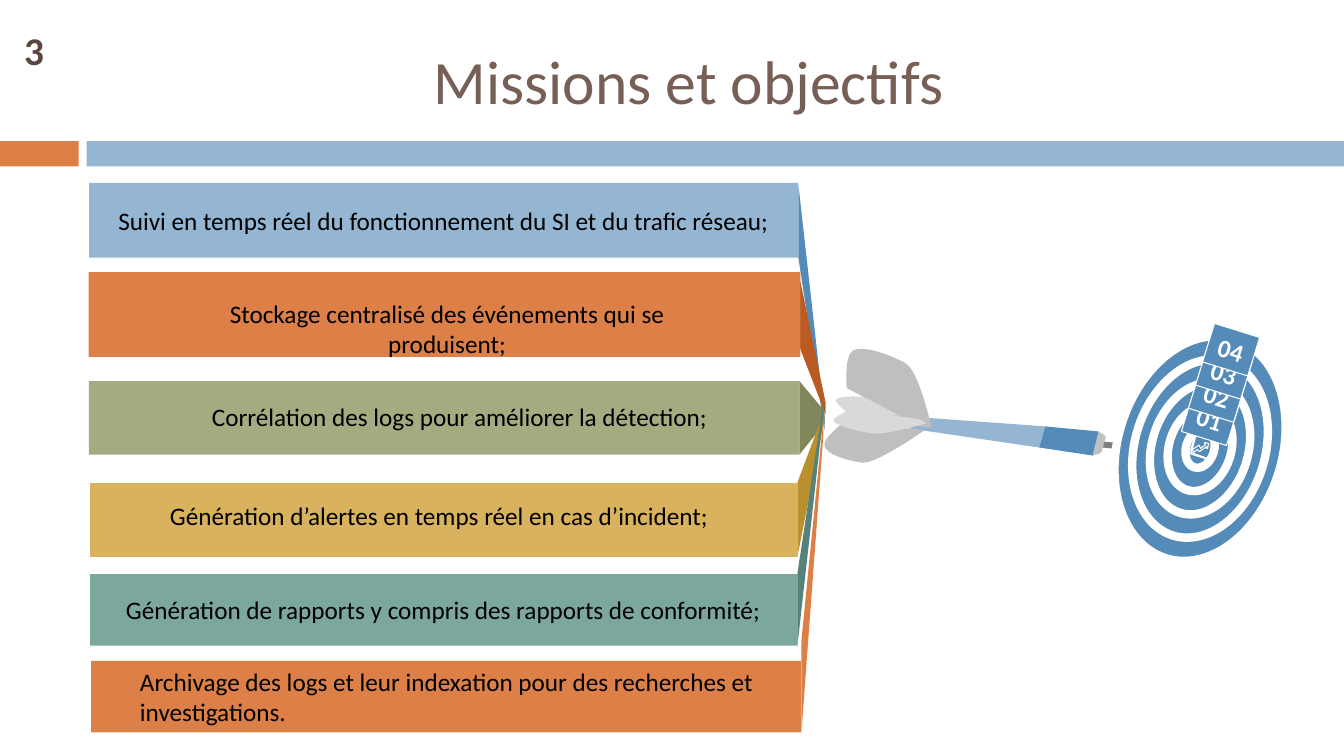
"""Build the "Missions et objectifs" slide: six goals feeding a dart and its target."""
from pptx import Presentation
from pptx.dml.color import RGBColor
from pptx.enum.shapes import MSO_SHAPE
from pptx.enum.text import MSO_ANCHOR, MSO_AUTO_SIZE, PP_ALIGN
from pptx.util import Pt

RECT, OVAL = MSO_SHAPE.RECTANGLE, MSO_SHAPE.OVAL
MIDDLE, TOP = MSO_ANCHOR.MIDDLE, MSO_ANCHOR.TOP
LEFT, CENTER = PP_ALIGN.LEFT, PP_ALIGN.CENTER
NO_FIT = MSO_AUTO_SIZE.NONE

BLACK, WHITE = "000000", "FFFFFF"
SKY, BLUE, ORANGE = "94B6D2", "558BB8", "DD8047"
SILVER, PALE, GREY = "BFBFBF", "D9D9D9", "808080"
TILT = 17.3

# bar box, bar colour, wedge colour, wedge (base x, top, bottom, tip x, top, bottom)
GOALS = [
    ((63.7, 130.7, 506.2, 53.3), SKY, BLUE, (570.2, 131, 183.6, 589, 298.8, 307.4)),
    ((63.4, 194.4, 508.3, 60.5), ORANGE, "B95B22", (570.2, 193.7, 245.5, 589.7, 287.3, 295.9)),
    ((63.4, 272.2, 507.6, 52.6), "A5AB81", "81875A", (571, 272.2, 324.7, 589, 293.8, 302.4)),
    ((64.4, 345.2, 505.4, 52.6), "D8B25C", "BA8F2D", (569.5, 344.9, 398.2, 588.2, 295.2, 303.8)),
    ((65.2, 472, 506.9, 51.1), ORANGE, ORANGE, (572.4, 457.9, 524.2, 588.2, 298.8, 309.6)),
    ((64.4, 410, 505.4, 51.1), "7BA79D", "578279", (569.5, 410.4, 462.2, 588.2, 286.6, 295.2)),
]

# text inside a bar: position in GOALS, wording, alignment, left inset
BAR_TEXTS = [
    (0, "Suivi en temps réel du fonctionnement du SI et du trafic réseau;", CENTER, 7.2),
    (4, "Archivage des logs et leur indexation pour des recherches et investigations.", LEFT, 34.8),
    (5, "Génération de rapports y compris des rapports de conformité;", LEFT, 25.6),
]

FLOATING_TEXTS = [
    ((76.3, 283, 504, 28.8), "Corrélation des logs pour améliorer la détection;"),
    ((115.9, 209.5, 406.8, 28.8), "Stockage centralisé des événements qui se produisent;"),
    ((110.2, 354.2, 406.8, 28.8), "Génération d’alertes en temps réel en cas d’incident;"),
]

# outlines: a pair is a corner, six numbers are a cubic curve
DART = [
    (GREY, [(809.3, 317.5), (818.6, 320.4), (818.6, 321.1), (808.6, 321.8),
            (787.7, 319.7), (788.4, 315.4)]),
    (PALE, [(606.2, 295.9), (656.6, 302.4), (661.7, 301),
            (661.7, 301, 637.9, 285.8, 628.6, 284.4),
            (617, 283, 597.6, 282.2, 596.9, 285.8),
            (596.9, 288, 606.2, 295.9, 606.2, 295.9)]),
    (SKY, [(746.6, 304.6), (742.3, 319.7), (614.9, 301), (616.3, 295.2)]),
    (SILVER, [(604.8, 277.2), (658.1, 304.6), (665.3, 305.3),
              (665.3, 305.3, 656.6, 264.2, 646.6, 259.2),
              (634.3, 252.7, 612.7, 244.8, 607.7, 252),
              (603.4, 257, 604.8, 277.2, 604.8, 277.2)]),
    (SILVER, [(603.4, 301), (660.2, 307.4),
              (660.2, 307.4, 626.4, 331.2, 616.3, 330.5),
              (604.8, 329, 586.8, 324, 589, 316.1),
              (590.4, 311, 603.4, 301, 603.4, 301)]),
    (PALE, [(608.4, 292.3), (656.6, 299.5), (661.7, 302.4),
            (661.7, 302.4, 632.2, 311, 623.5, 309.6),
            (612, 308.2, 594, 303.1, 595.4, 300.2),
            (595.4, 297.4, 608.4, 292.3, 608.4, 292.3)]),
    (BLUE, [(784.8, 308.2), (780.5, 325.4), (742.3, 319.7), (746.6, 304.6)]),
    (SILVER, [(785.5, 324), (787, 322.6), (789.8, 312.5), (789.1, 311),
              (784.8, 308.2), (780.5, 325.4)]),
]

GROWTH_ICON = [
    [(861.1, 327.6), (849.6, 324), (853.2, 312.5), (853.9, 312.5), (851, 323.3), (861.1, 326.9)],
    [(862.6, 320.4), (861.8, 320.4), (861.8, 319), (856.8, 322.6), (855.4, 321.1),
     (852.5, 323.3), (851.8, 321.1), (856.1, 318.2), (856.8, 318.2), (857.5, 320.4),
     (861.1, 317.5), (860.4, 316.1), (863.3, 316.8)],
]


def rgb(code):
    """Turn a hex string into a colour."""
    return RGBColor.from_string(code)


def trace(outline, steps=10):
    """Turn corners and cubic curves into a list of points."""
    points = [outline[0]]
    for part in outline[1:]:
        if len(part) == 2:
            points.append(part)
            continue
        start = points[-1]
        for step in range(1, steps + 1):
            t = step / steps
            u = 1 - t
            points.append(tuple(
                u**3 * start[k] + 3 * u * u * t * part[k]
                + 3 * u * t * t * part[k + 2] + t**3 * part[k + 4]
                for k in (0, 1)))
    return points


class SlideBuilder:
    """Hold the text style and the slide being filled."""

    def __init__(self, slide, font="Calibri"):
        """Keep the slide and its font."""
        self.slide = slide
        self.font = font

    def paint(self, shape, fill, line=None, width=0.75):
        """Set fill and outline and drop the shadow."""
        shape.shadow.inherit = False
        shape.fill.solid()
        shape.fill.fore_color.rgb = rgb(fill)
        if line:
            shape.line.color.rgb = rgb(line)
            shape.line.width = Pt(width)
        else:
            shape.line.fill.background()
        return shape

    def set_text(self, shape, text, size=18, color=BLACK, bold=False, align=CENTER,
                 anchor=MIDDLE, wrap=True, inset=7.2):
        """Put one formatted paragraph in a shape."""
        frame = shape.text_frame
        frame.text = text
        frame.word_wrap = wrap
        frame.auto_size = NO_FIT
        frame.vertical_anchor = anchor
        frame.margin_left = Pt(inset)
        paragraph = frame.paragraphs[0]
        paragraph.alignment = align
        paragraph.font.name = self.font
        paragraph.font.size = Pt(size)
        paragraph.font.bold = bold
        paragraph.font.color.rgb = rgb(color)

    def title(self, text, box, color):
        """Move and format the title placeholder."""
        heading = self.slide.shapes.title
        heading.left, heading.top, heading.width, heading.height = map(Pt, box)
        self.set_text(heading, text, 44, color)

    def shape(self, kind, box, fill, line=None, width=0.75, turn=0):
        """Add a preset shape."""
        shape = self.slide.shapes.add_shape(kind, *map(Pt, box))
        shape.rotation = turn
        return self.paint(shape, fill, line, width)

    def outline(self, parts, fill, line=None):
        """Add a closed outline."""
        points = [(Pt(x), Pt(y)) for x, y in trace(parts)]
        builder = self.slide.shapes.build_freeform(*points[0])
        builder.add_line_segments(points[1:], close=True)
        return self.paint(builder.convert_to_shape(), fill, line)

    def label(self, box, text, **style):
        """Add a text box."""
        self.set_text(self.slide.shapes.add_textbox(*map(Pt, box)), text, anchor=TOP, **style)


def main():
    """Compose and save the slide."""
    deck = Presentation()
    deck.slide_width, deck.slide_height = Pt(960), Pt(540)
    page = SlideBuilder(deck.slides.add_slide(deck.slide_layouts[5]))

    page.shape(RECT, (0, 100.8, 56.2, 18), ORANGE)
    page.shape(RECT, (61.9, 100.8, 898.1, 18), SKY)
    page.title("Missions et objectifs", (64.1, 18, 856.1, 77.8), "775F55")

    bars = []
    for box, bar_color, wedge_color, (base, top, bottom, tip, tip_top, tip_bottom) in GOALS:
        page.outline([(tip, tip_bottom), (base, bottom), (base, top), (tip, tip_top)], wedge_color)
        bars.append(page.shape(RECT, box, bar_color))
    for position, goal, align, inset in BAR_TEXTS:
        page.set_text(bars[position], goal, align=align, inset=inset)
    for box, goal in FLOATING_TEXTS:
        page.label(box, goal)

    for color, part in DART:
        page.outline(part, color)

    for ring in range(5):
        width, height = 117.4 - 24.3 * ring, 164.2 - 34 * ring
        page.shape(OVAL, (857.2 - width / 2, 320.4 - height / 2, width, height),
                   BLUE, WHITE, 6, TILT)
    for stroke in GROWTH_ICON:
        page.outline(stroke, BLUE, WHITE)
    for rank in range(4):
        tag = page.shape(RECT, (847.4 + 5.04 * rank, 285.1 - 16.56 * rank, 33.8, 28.8),
                         BLUE, WHITE, turn=TILT)
        page.set_text(tag, f"{rank + 1:02}", color=WHITE, bold=True, anchor=TOP, wrap=False)

    page.label((10.1, 15.1, 21.6, 41), "3", size=28, color="594740", bold=True, align=LEFT)
    deck.save("out.pptx")


if __name__ == "__main__":
    main()
